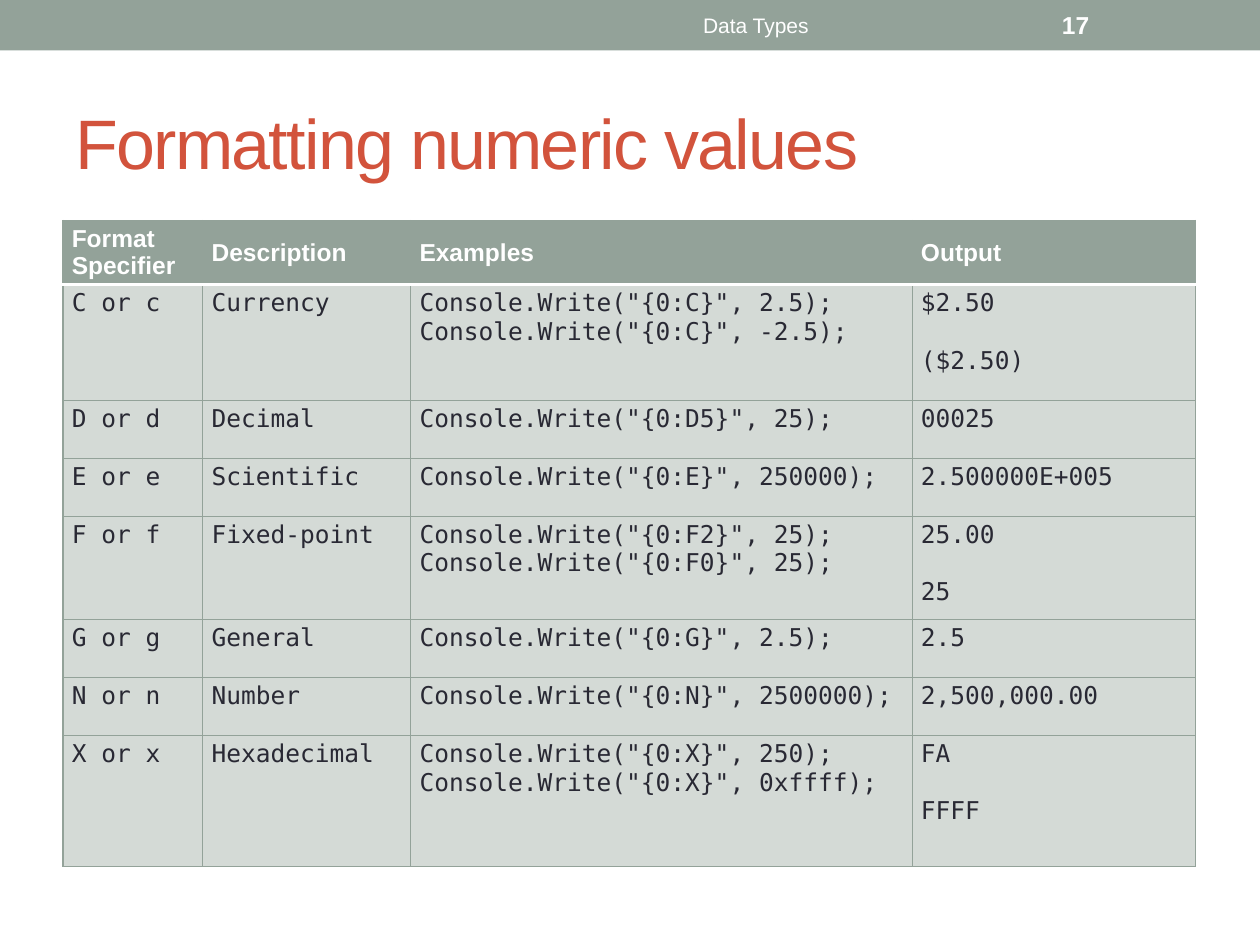
from lxml.etree import SubElement
from pptx import Presentation
from pptx.dml.color import RGBColor as Rgb
from pptx.enum.shapes import MSO_SHAPE as Shape
from pptx.enum.text import MSO_ANCHOR as Anchor, PP_ALIGN as Align
from pptx.oxml.ns import qn
from pptx.util import Inches, Pt

HEX = {"sage": "93A299", "pale": "D4DAD6", "rust": "D2533C",
       "ink": "292934", "white": "FFFFFF"}
SANS, MONO = "Arial", "DejaVu Sans Mono"

TITLE = "Formatting numeric values"
HEADS = ["Format Specifier", "Description", "Examples", "Output"]
# Each row: letter, description, (format, value) pairs, outputs, height
ROWS = [
    ("C", "Currency", [("C", "2.5"), ("C", "-2.5")], ["$2.50", "($2.50)"], 0.92),
    ("D", "Decimal", [("D5", "25")], ["00025"], 0.46),
    ("E", "Scientific", [("E", "250000")], ["2.500000E+005"], 0.46),
    ("F", "Fixed-point", [("F2", "25"), ("F0", "25")], ["25.00", "25"], 0.82),
    ("G", "General", [("G", "2.5")], ["2.5"], 0.46),
    ("N", "Number", [("N", "2500000")], ["2,500,000.00"], 0.46),
    ("X", "Hexadecimal", [("X", "250"), ("X", "0xffff")], ["FA", "FFFF"], 1.04),
]
COLS = [1.11, 1.65, 3.98, 2.25]
HEAD_H = 0.51
LINE_GAP = 16.5


def color(name):
    """Return the named colour."""
    return Rgb.from_string(HEX[name])


def write(para, text, size, tint, font=SANS, bold=False):
    """Add one formatted run to a paragraph."""
    run = para.add_run()
    run.text = text
    run.font.size, run.font.name, run.font.bold = Pt(size), font, bold
    run.font.color.rgb = color(tint)
    return run


def edge(cell, side, tint, width):
    """Draw one border of a cell."""
    line = SubElement(cell._tc.get_or_add_tcPr(), qn("a:ln" + side),
                      w=str(Pt(width)))
    fill = SubElement(line, qn("a:solidFill"))
    SubElement(fill, qn("a:srgbClr"), val=HEX[tint])


def fill_cell(cell, lines, row, gap=0):
    """Write the lines of a cell and style it by its row."""
    head = row == 0
    cell.margin_left = cell.margin_right = Inches(0.07)
    cell.margin_top = cell.margin_bottom = Inches(0.03)
    cell.vertical_anchor = Anchor.MIDDLE if head else Anchor.TOP
    frame = cell.text_frame
    for i, line in enumerate(lines):
        para = frame.add_paragraph() if i else frame.paragraphs[0]
        if i:
            para.space_before = Pt(gap)
        write(para, line, 14, "white" if head else "ink",
              SANS if head else MONO, head)
    thick = {0: "B", 1: "T"}.get(row)
    for side in "LRTB":
        if side == thick:
            edge(cell, side, "white", 2.08)
        else:
            edge(cell, side, "sage", 0.75)
    cell.fill.solid()
    cell.fill.fore_color.rgb = color("sage" if head else "pale")


def label(slide, left, width, text, size, bold=False, align=Align.LEFT):
    """Add a white label on the top band."""
    box = slide.shapes.add_textbox(Inches(left), Inches(0.02),
                                   Inches(width), Inches(0.36))
    frame = box.text_frame
    frame.word_wrap = True
    frame.vertical_anchor = Anchor.MIDDLE
    frame.paragraphs[0].alignment = align
    write(frame.paragraphs[0], text, size, "white", bold=bold)


def add_band(slide):
    """Add the coloured band along the top."""
    band = slide.shapes.add_shape(Shape.RECTANGLE, 0, 0, Inches(10), Inches(0.4))
    band.shadow.inherit = False
    band.fill.solid()
    band.fill.fore_color.rgb = color("sage")
    band.line.fill.background()


def add_title(slide):
    """Place and format the title."""
    title = slide.shapes.title
    title.left, title.top = Inches(0.5), Inches(0.58)
    title.width, title.height = Inches(9), Inches(1.08)
    frame = title.text_frame
    frame.vertical_anchor = Anchor.MIDDLE
    frame.paragraphs[0].alignment = Align.LEFT
    run = write(frame.paragraphs[0], TITLE, 40, "rust")
    run.font._element.set("spc", "-100")


def add_grid(slide):
    """Add the table of format specifiers."""
    highs = [HEAD_H] + [row[-1] for row in ROWS]
    grid = slide.shapes.add_table(
        len(highs), len(COLS), Inches(0.5), Inches(1.75),
        Inches(sum(COLS)), Inches(sum(highs))).table
    for col, width in zip(grid.columns, COLS):
        col.width = Inches(width)
    for row, high in zip(grid.rows, highs):
        row.height = Inches(high)
    for c, head in enumerate(HEADS):
        fill_cell(grid.cell(0, c), [head], 0)
    for r, (key, name, calls, outs, _) in enumerate(ROWS, 1):
        code = [f'Console.Write("{{0:{form}}}", {val});' for form, val in calls]
        cells = [[f"{key} or {key.lower()}"], [name], code, outs]
        for c, lines in enumerate(cells):
            fill_cell(grid.cell(r, c), lines, r, LINE_GAP if c == 3 else 0)


deck = Presentation()
deck.slide_width, deck.slide_height = Inches(10), Inches(7.5)
page = deck.slides.add_slide(deck.slide_layouts[5])
add_band(page)
add_title(page)
add_grid(page)
label(page, 3.75, 4.5, "Data Types", 12, align=Align.CENTER)
label(page, 8.33, 1.17, "17", 14, bold=True)
deck.save("out.pptx")
